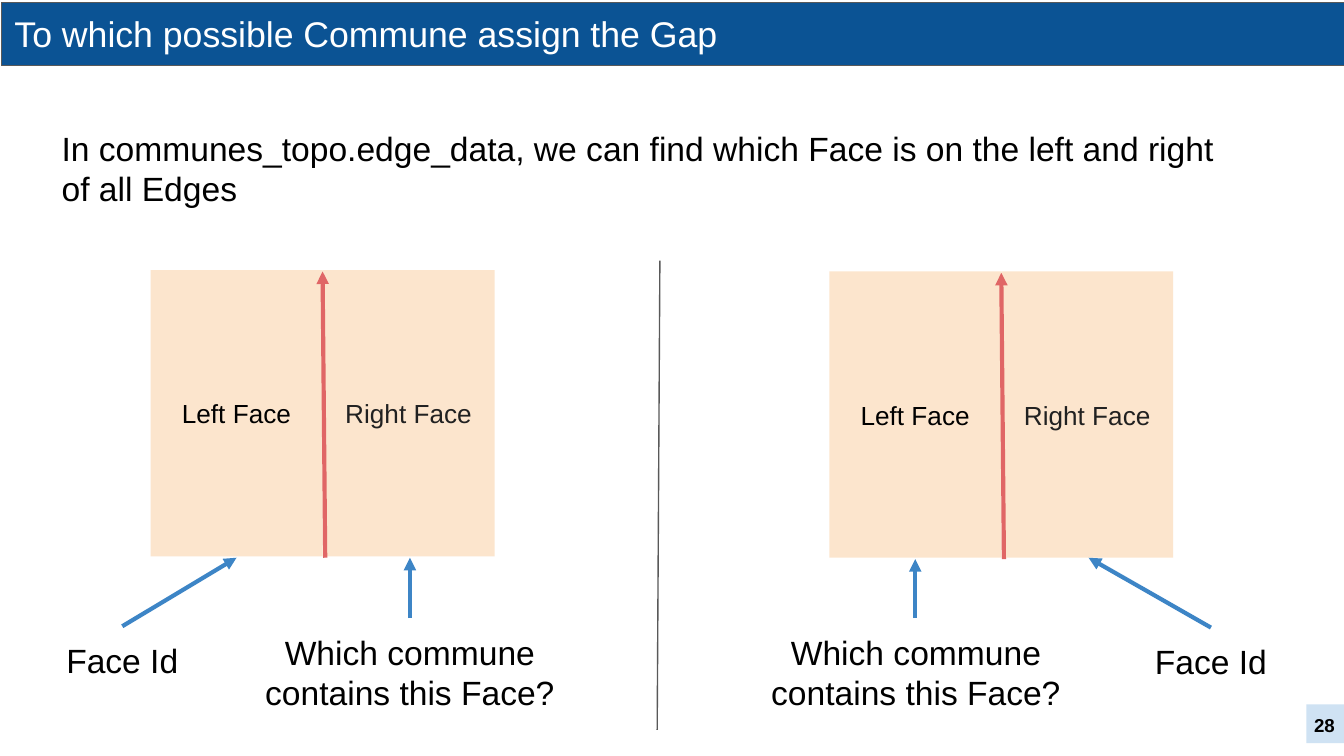
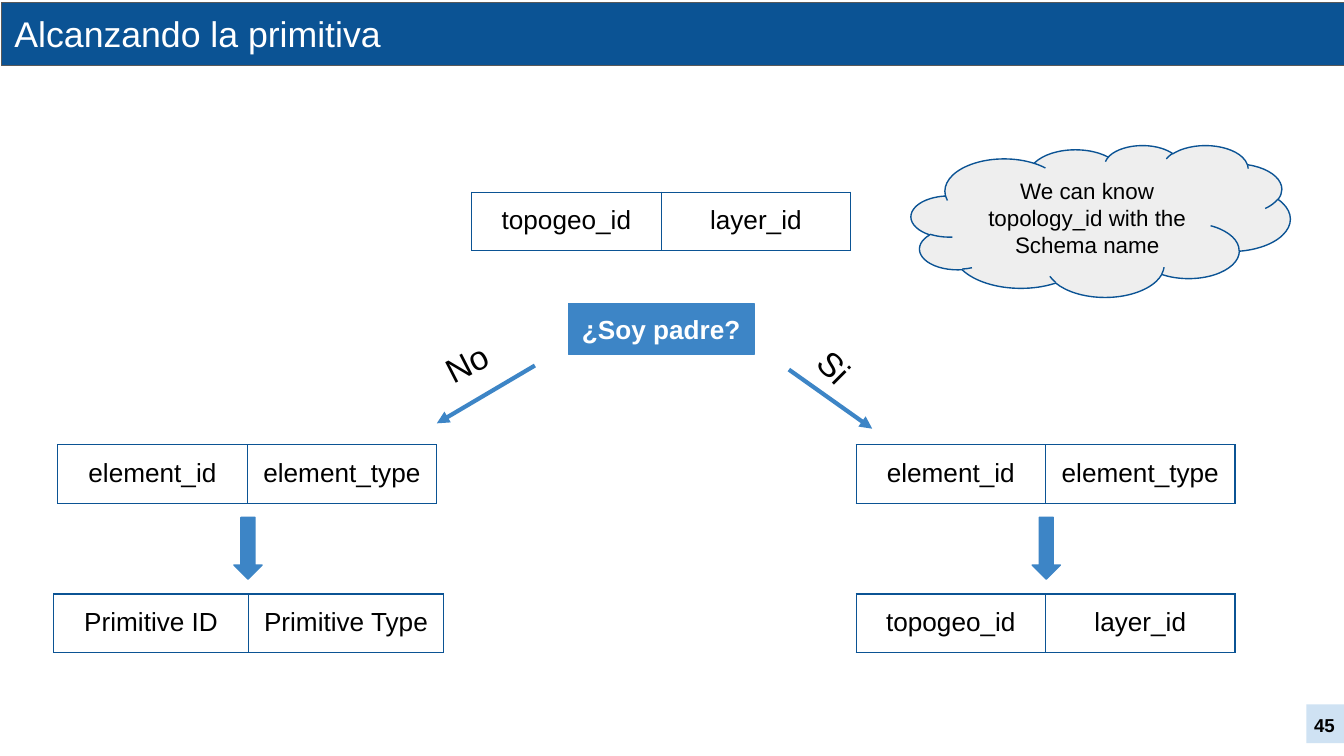
from lxml import etree
from pptx import Presentation
from pptx.dml.color import RGBColor
from pptx.enum.shapes import MSO_CONNECTOR, MSO_SHAPE
from pptx.enum.text import MSO_ANCHOR, PP_ALIGN
from pptx.oxml.ns import qn
from pptx.util import Emu, Pt

RECT, CLOUD, DOWN = MSO_SHAPE.RECTANGLE, MSO_SHAPE.CLOUD, MSO_SHAPE.DOWN_ARROW
STRAIGHT = MSO_CONNECTOR.STRAIGHT
LEFT, MID, RIGHT = PP_ALIGN.LEFT, PP_ALIGN.CENTER, PP_ALIGN.RIGHT
TOP, HALF = MSO_ANCHOR.TOP, MSO_ANCHOR.MIDDLE

FONT = "Arial"
NAVY, BLUE, PALE = "0B5394", "3D85C6", "CFE2F3"
PEACH, RED, CLOUDY = "FCE5CD", "E06666", "EEEEEE"
BLACK, INK, GREY, WHITE = "000000", "212121", "595959", "FFFFFF"

SCALE = 9144
WIDE, PAD = 1000, 10
THIN, THICK = 0.75, 2.25

FACES = {
    "title": "To which possible Commune assign the Gap",
    "page": "28",
    "intro": "In communes_topo.edge_data, we can find which Face is on the left and right of all Edges",
    "names": [("Left Face", BLACK), ("Right Face", INK)],
    "ask": "Which commune contains this Face?",
    "id": "Face Id",
}
SIDES = [
    {"x": 112, "y": 201, "id": (27, 466, 128, 50), "ask": (157, 460, 296, 81),
     "rays": [((91, 466), (176, 415)), ((305, 460), (305, 415))]},
    {"x": 617, "y": 202, "id": (827, 467, 148, 50), "ask": (536, 460, 291, 81),
     "rays": [((681, 460), (681, 416)), ((901, 467), (810, 415))]},
]

TREE = {
    "title": "Alcanzando la primitiva",
    "page": "45",
    "ask": "¿Soy padre?",
    "note": "We can know topology_id with the Schema name",
}
TOPO = ("topogeo_id", "layer_id")
ELEM = ("element_id", "element_type")
PRIM = ("Primitive ID", "Primitive Type")
PAIRS = [
    (351, 143, 141, TOPO),
    (637, 331, 141, ELEM),
    (40, 442, 145, PRIM),
    (637, 442, 141, TOPO),
    (43, 331, 141, ELEM),
]
FORKS = [
    ("No", (321, 244, 56, 50), 332.9, (398, 272), (325, 315)),
    ("Si", (598, 253, 56, 50), 45, (587, 275), (649, 319)),
]
DROPS = [174, 768]


def px(n):
    return Emu(n * SCALE)


def rgb(tone):
    return RGBColor.from_string(tone)


def write(frame, text, size, tone=BLACK, align=MID, bold=False):
    para = frame.paragraphs[0]
    para.alignment = align
    run = para.add_run()
    run.text = text
    font = run.font
    font.name, font.size, font.bold = FONT, Pt(size), bold
    font.color.rgb = rgb(tone)


def inset(part):
    part.margin_left = part.margin_right = px(PAD)
    part.margin_top = part.margin_bottom = px(PAD)


def label(slide, box, text, size=18, tone=BLACK, align=MID, anchor=TOP, bold=False):
    shape = slide.shapes.add_textbox(*map(px, box))
    frame = shape.text_frame
    frame.word_wrap = True
    frame.vertical_anchor = anchor
    inset(frame)
    write(frame, text, size, tone, align, bold)
    return shape


def block(slide, kind, box, fill, edge=None):
    shape = slide.shapes.add_shape(kind, *map(px, box))
    shape.shadow.inherit = False
    shape.fill.solid()
    shape.fill.fore_color.rgb = rgb(fill)
    if edge:
        shape.line.color.rgb = rgb(edge)
        shape.line.width = Pt(THIN)
    else:
        shape.line.fill.background()
    frame = shape.text_frame
    frame.word_wrap = True
    frame.vertical_anchor = HALF
    inset(frame)
    return shape


def line(slide, start, end, tone, width=THICK, head=True):
    link = slide.shapes.add_connector(STRAIGHT, *map(px, start + end))
    link.line.color.rgb = rgb(tone)
    link.line.width = Pt(width)
    props = link._element.spPr
    if head:
        etree.SubElement(props.find(qn("a:ln")), qn("a:tailEnd"), type="triangle")
    etree.SubElement(props, qn("a:effectLst"))


def border(cell, tone):
    props = cell._tc.get_or_add_tcPr()
    for side in ("lnL", "lnR", "lnT", "lnB"):
        edge = etree.SubElement(props, qn("a:" + side), w=str(Pt(THIN)))
        fill = etree.SubElement(edge, qn("a:solidFill"))
        etree.SubElement(fill, qn("a:srgbClr"), val=tone)


def pair(slide, x, y, width, words):
    size = len(words)
    box = (x, y, width * size, 42)
    table = slide.shapes.add_table(1, size, *map(px, box)).table
    table.first_row = table.horz_banding = False
    for i, word in enumerate(words):
        table.columns[i].width = px(width)
        cell = table.cell(0, i)
        inset(cell)
        border(cell, NAVY)
        cell.fill.background()
        write(cell.text_frame, word, 14)


def start(deck, data):
    slide = deck.slides.add_slide(deck.slide_layouts[6])
    block(slide, RECT, (1, 2, WIDE, 47), NAVY, GREY)
    label(slide, (1, -1, WIDE, 33), data["title"], 19.1, WHITE, LEFT)
    block(slide, RECT, (972, 524, 28, 29), PALE)
    label(slide, (943, 518, 60, 43), data["page"], 10, BLACK, RIGHT, HALF, True)
    return slide


def faces(deck):
    slide = start(deck, FACES)
    wide, tall = 128, 213
    for side in SIDES:
        x, y = side["x"], side["y"]
        for i, (name, tone) in enumerate(FACES["names"]):
            face = block(slide, RECT, (x + i * wide, y, wide, tall), PEACH)
            write(face.text_frame, name, 14, tone)
        mid = x + wide
        line(slide, (mid + 2, y + tall + 1), (mid, y + 1), RED)
        label(slide, side["id"], FACES["id"])
        label(slide, side["ask"], FACES["ask"])
        for tail, tip in side["rays"]:
            line(slide, tail, tip, BLUE)
    line(slide, (491, 194), (489, 543), GREY, THIN, False)
    label(slide, (36, 85, 902, 81), FACES["intro"], align=LEFT)


def tree(deck):
    slide = start(deck, TREE)
    for item in PAIRS:
        pair(slide, *item)
    ask = block(slide, RECT, (423, 226, 138, 38), BLUE, BLUE)
    write(ask.text_frame, TREE["ask"], 14, WHITE, bold=True)
    for word, box, turn, tail, tip in FORKS:
        label(slide, box, word, align=LEFT).rotation = turn
        line(slide, tail, tip, BLUE)
    for x in DROPS:
        block(slide, DOWN, (x, 385, 21, 46), BLUE, BLUE)
    note = block(slide, CLOUD, (678, 108, 282, 113), CLOUDY, NAVY)
    write(note.text_frame, TREE["note"], 12)


def main():
    deck = Presentation()
    deck.slide_width = px(WIDE)
    deck.slide_height = Emu(px(WIDE) * 9 // 16)
    faces(deck)
    tree(deck)
    deck.save("out.pptx")


if __name__ == "__main__":
    main()
